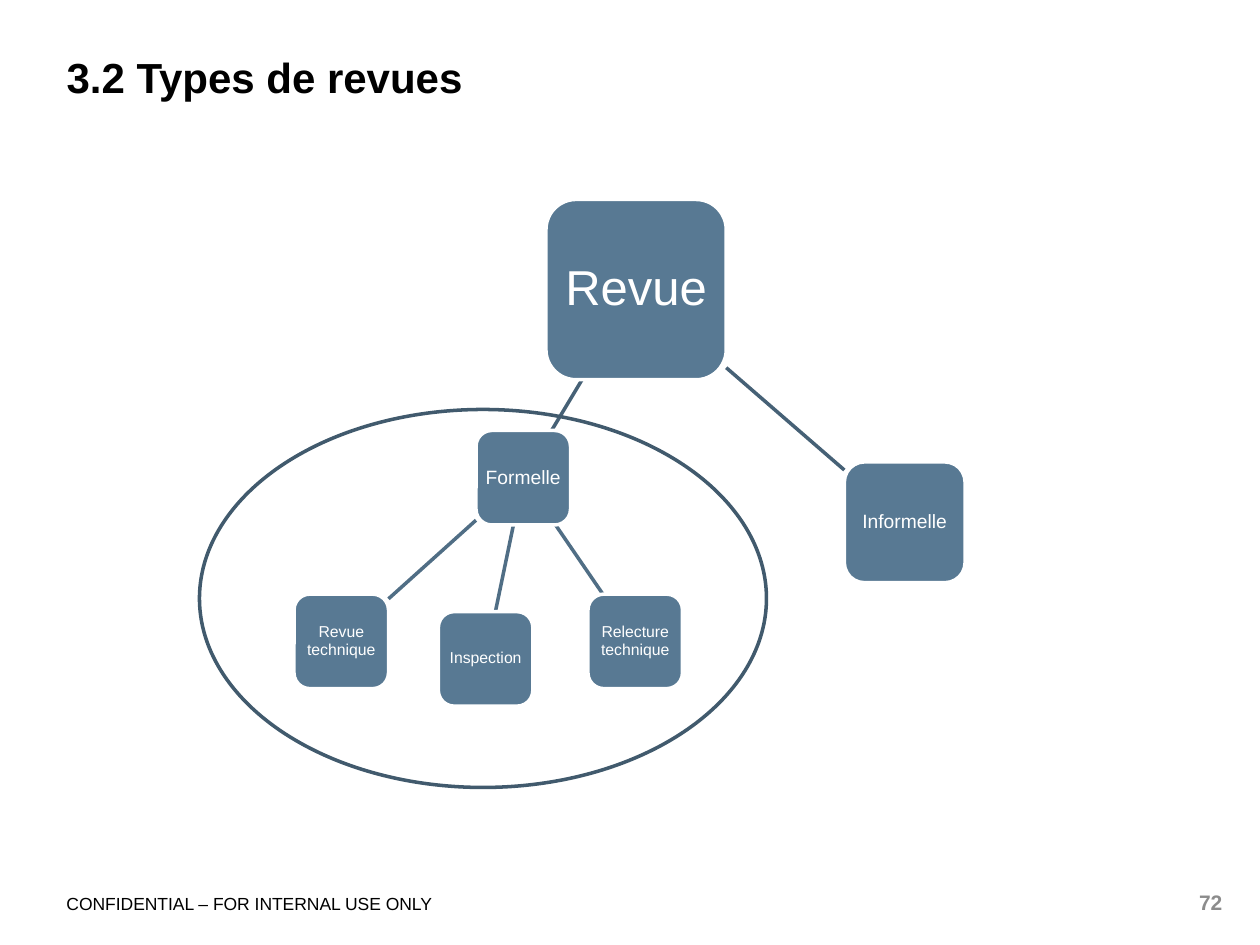
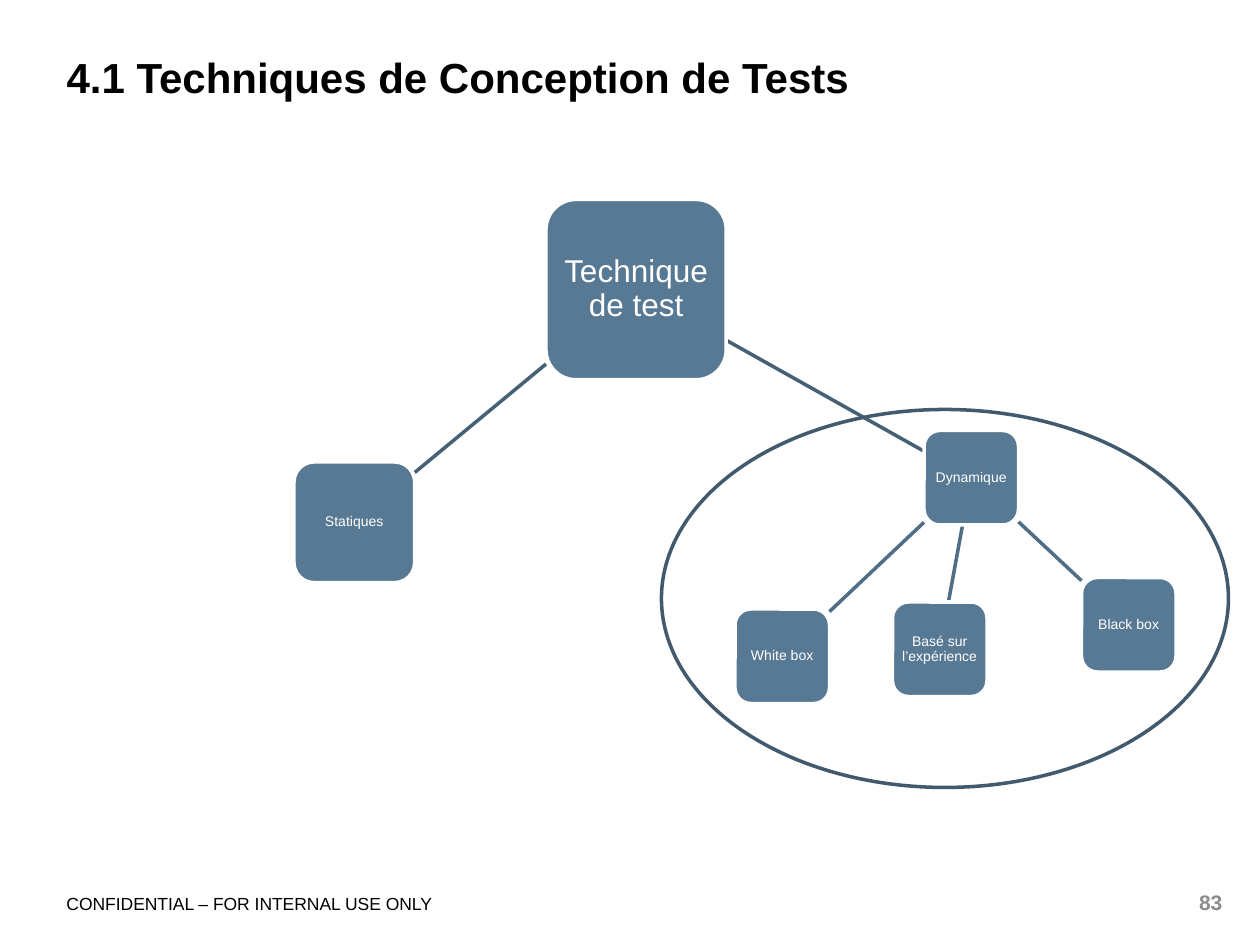
import dataclasses

import lxml.etree
import pptx
import pptx.dml.color
import pptx.enum.shapes
import pptx.enum.text
import pptx.oxml.ns
import pptx.util

Pt = pptx.util.Pt
Color = pptx.dml.color.RGBColor.from_string
Shape = pptx.enum.shapes.MSO_SHAPE
Align = pptx.enum.text.PP_ALIGN
Anchor = pptx.enum.text.MSO_ANCHOR


@dataclasses.dataclass(frozen=True)
class Theme:
    font: str = "Arial"
    black: str = "000000"
    white: str = "FFFFFF"
    page_grey: str = "8C8C8C"
    node_blue: str = "587993"
    root_link: str = "466176"
    branch_link: str = "506E85"
    group_outline: str = "415A6D"
    title_size: int = 24
    footer_size: int = 10
    page_size: int = 12
    line_width: int = 2
    root_side: int = 103
    leaf_side: int = 69
    small_side: int = 54


THEME = Theme()
FOOTER = "CONFIDENTIAL – FOR INTERNAL USE ONLY"


@dataclasses.dataclass(frozen=True)
class Node:
    label: str
    left: float
    top: float
    side: float
    size: int

    def center(self):
        return self.left + self.side / 2, self.top + self.side / 2


# Each tree has a root, a plain branch and a circled branch with three children
SLIDES = [
    {
        "title": "3.2 Types de revues",
        "page": "72",
        "root": Node("Revue", 312, 114, THEME.root_side, 28),
        "plain": Node("Informelle", 482.5, 264, THEME.leaf_side, 11),
        "circled": Node("Formelle", 272, 246, THEME.small_side, 11),
        "children": [
            Node("Inspection", 250.5, 349.5, THEME.small_side, 9),
            Node("Relecture technique", 336, 339.5, THEME.small_side, 9),
            Node("Revue technique", 168, 339.5, THEME.small_side, 9),
        ],
        "ellipse_left": 114,
    },
    {
        "title": "4.1 Techniques de Conception de Tests",
        "page": "83",
        "root": Node("Technique de test", 312, 114, THEME.root_side, 18),
        "plain": Node("Statiques", 168, 264, THEME.leaf_side, 8),
        "circled": Node("Dynamique", 528, 246, THEME.small_side, 8),
        "children": [
            Node("Basé sur l’expérience", 510, 344, THEME.small_side, 8),
            Node("Black box", 618, 330, THEME.small_side, 8),
            Node("White box", 420, 348, THEME.small_side, 8),
        ],
        "ellipse_left": 378,
    },
]


def apply_format(target, values):
    for attribute, value in values.items():
        setattr(target, attribute, value)


def write_text(frame, text, size, color, bold=False, inset=0, inset_top=None,
               anchor=Anchor.TOP, align=Align.LEFT, spacing=1.0):
    apply_format(frame, {
        "word_wrap": True,
        "vertical_anchor": anchor,
        "margin_left": Pt(inset),
        "margin_right": Pt(inset),
        "margin_top": Pt(inset if inset_top is None else inset_top),
        "margin_bottom": Pt(inset),
    })
    paragraph = frame.paragraphs[0]
    apply_format(paragraph, {"alignment": align, "line_spacing": spacing})
    run = paragraph.add_run()
    run.text = text
    apply_format(run.font, {"name": THEME.font, "size": Pt(size), "bold": bold})
    run.font.color.rgb = Color(color)


def add_label(slide, box, text, size, color, **style):
    label = slide.shapes.add_textbox(*map(Pt, box))
    write_text(label.text_frame, text, size, color, **style)


def add_outlined(slide, kind, box, outline):
    outlined = slide.shapes.add_shape(kind, *map(Pt, box))
    outlined.shadow.inherit = False
    outlined.line.color.rgb = Color(outline)
    outlined.line.width = Pt(THEME.line_width)
    return outlined


def add_node(slide, node):
    square = add_outlined(slide, Shape.ROUNDED_RECTANGLE,
                          (node.left, node.top, node.side, node.side), THEME.white)
    square.fill.solid()
    square.fill.fore_color.rgb = Color(THEME.node_blue)
    write_text(square.text_frame, node.label, node.size, THEME.white,
               inset=node.size / 5, anchor=Anchor.MIDDLE, align=Align.CENTER,
               spacing=0.9)


def edge_point(node, toward):
    """Where the line between two node centres leaves the square."""
    x, y = node.center()
    target_x, target_y = toward.center()
    dx, dy = target_x - x, target_y - y
    share = node.side / 2 / max(abs(dx), abs(dy))
    return x + dx * share, y + dy * share


def add_link(slide, parent, child, color):
    ends = edge_point(parent, child) + edge_point(child, parent)
    link = slide.shapes.add_connector(
        pptx.enum.shapes.MSO_CONNECTOR.STRAIGHT, *map(Pt, ends))
    link.line.color.rgb = Color(color)
    link.line.width = Pt(THEME.line_width)
    lxml.etree.SubElement(link._element.spPr, pptx.oxml.ns.qn("a:effectLst"))


def add_frame(slide, title, page):
    add_label(slide, (38, 510.5, 318, 14.5), FOOTER, THEME.footer_size, THEME.black)
    add_label(slide, (38, 26.5, 660, 42.5), title, THEME.title_size, THEME.black,
              bold=True, inset_top=3)
    add_label(slide, (670, 508.5, 28.5, 14.5), page, THEME.page_size,
              THEME.page_grey, bold=True, align=Align.RIGHT)


def add_tree(slide, root, plain, circled, children, ellipse_left):
    # Links lie behind the nodes
    for branch in (plain, circled):
        add_link(slide, root, branch, THEME.root_link)
    for child in children:
        add_link(slide, circled, child, THEME.branch_link)
    for node in (root, circled, *children, plain):
        add_node(slide, node)
    # Ellipse around the circled branch
    ellipse = add_outlined(slide, Shape.OVAL, (ellipse_left, 234, 324, 216),
                           THEME.group_outline)
    ellipse.fill.background()


def main():
    deck = pptx.Presentation()
    apply_format(deck, {"slide_width": Pt(720), "slide_height": Pt(540)})
    for content in SLIDES:
        slide = deck.slides.add_slide(deck.slide_layouts[6])
        add_frame(slide, content["title"], content["page"])
        add_tree(slide, content["root"], content["plain"], content["circled"],
                 content["children"], content["ellipse_left"])
    deck.save("out.pptx")


main()
